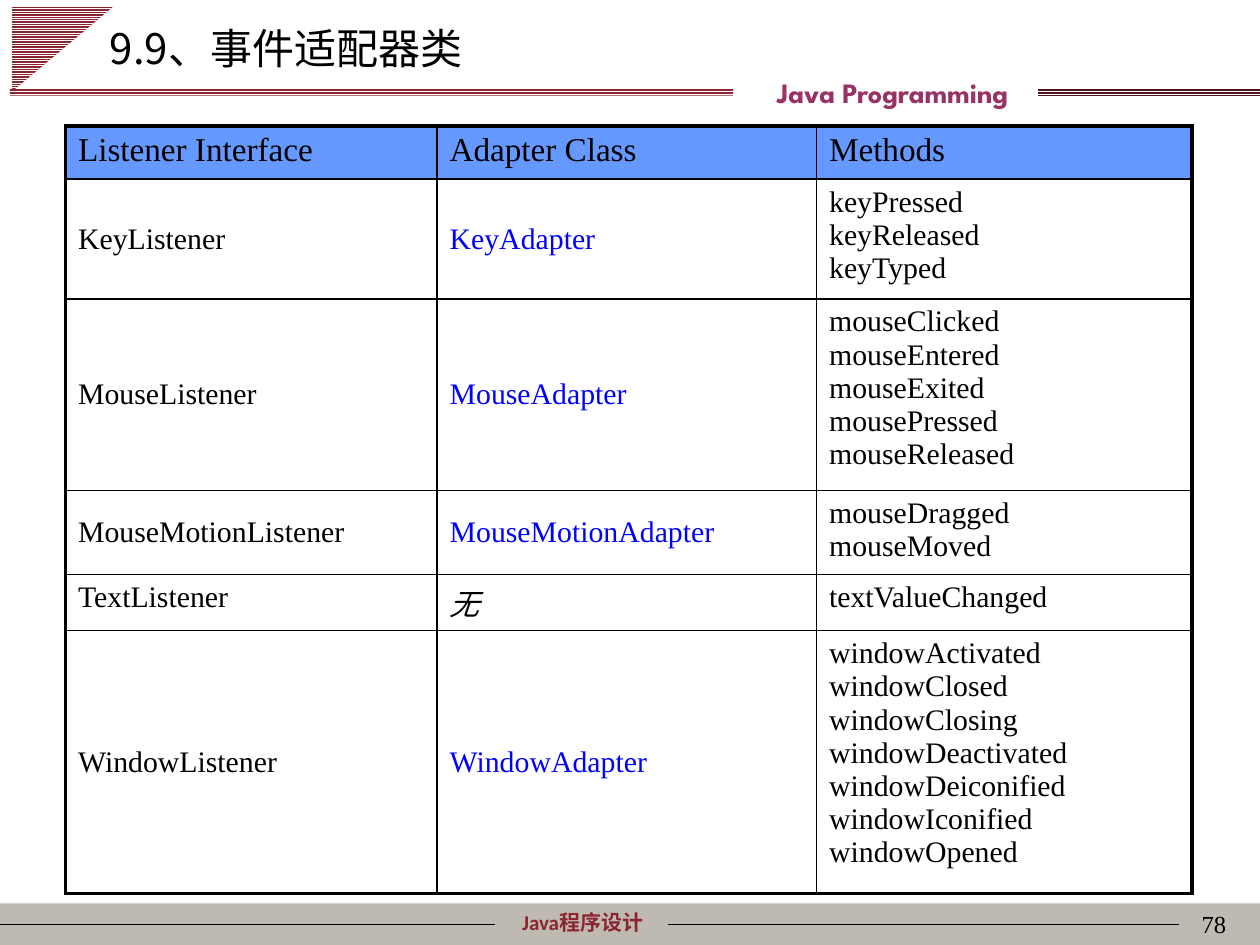
import pptx
import pptx.dml.color
import pptx.enum.dml
import pptx.enum.shapes
import pptx.enum.text
import pptx.oxml
import pptx.oxml.ns
import pptx.util
from lxml import etree

Cm = pptx.util.Cm
Pt = pptx.util.Pt
RGBColor = pptx.dml.color.RGBColor
ALIGN = pptx.enum.text.PP_ALIGN
ANCHOR = pptx.enum.text.MSO_ANCHOR
SHAPE = pptx.enum.shapes.MSO_SHAPE

BLACK = RGBColor(0x00, 0x00, 0x00)
WHITE = RGBColor(0xFF, 0xFF, 0xFF)
BLUE = RGBColor(0x00, 0x00, 0xFF)
HEADER_BLUE = RGBColor(0x66, 0x99, 0xFF)
MAROON = RGBColor(0x8C, 0x25, 0x32)
DARK_MAROON = RGBColor(0x4C, 0x14, 0x1B)
PLUM = RGBColor(0x99, 0x33, 0x66)
STONE = RGBColor(0xBF, 0xBA, 0xB1)

SERIF = "Times New Roman"
CHINESE = "Noto Sans CJK SC"

COLUMN_WIDTHS = [7.49, 7.65, 7.57]
HEADINGS = ["Listener Interface", "Adapter Class", "Methods"]
# Row height, listener, adapter, methods
LISTENERS = [
    (2.41, "KeyListener", "KeyAdapter", ["keyPressed", "keyReleased", "keyTyped"]),
    (3.86, "MouseListener", "MouseAdapter",
     ["mouseClicked", "mouseEntered", "mouseExited", "mousePressed", "mouseReleased"]),
    (1.7, "MouseMotionListener", "MouseMotionAdapter", ["mouseDragged", "mouseMoved"]),
    (1.13, "TextListener", "无", ["textValueChanged"]),
    (5.28, "WindowListener", "WindowAdapter",
     ["windowActivated", "windowClosed", "windowClosing", "windowDeactivated",
      "windowDeiconified", "windowIconified", "windowOpened"]),
]


def write_text(text_frame, text, size, font=SERIF, color=BLACK, bold=False,
               italic=False, align=ALIGN.LEFT):
    """Fill the frame with one paragraph; newlines become line breaks."""
    paragraph = text_frame.paragraphs[0]
    paragraph.text = text
    paragraph.alignment = align
    for run in paragraph.runs:
        run.font.name = font
        run.font.size = Pt(size)
        run.font.bold = bold
        run.font.italic = italic
        run.font.color.rgb = color
        east_asian = etree.Element(pptx.oxml.ns.qn("a:ea"), typeface=CHINESE)
        run.font._element.find(pptx.oxml.ns.qn("a:latin")).addnext(east_asian)


def add_label(slide, left, top, width, height, text, **text_format):
    label = slide.shapes.add_textbox(Cm(left), Cm(top), Cm(width), Cm(height))
    label.text_frame.word_wrap = True
    write_text(label.text_frame, text, **text_format)


def add_plain_shape(slide, kind, left, top, width, height):
    shape = slide.shapes.add_shape(kind, Cm(left), Cm(top), Cm(width), Cm(height))
    shape.shadow.inherit = False
    shape.line.fill.background()
    return shape


def add_striped_shape(slide, kind, left, top, width, height, color):
    shape = add_plain_shape(slide, kind, left, top, width, height)
    shape.fill.patterned()
    shape.fill.pattern = pptx.enum.dml.MSO_PATTERN.LIGHT_HORIZONTAL
    shape.fill.fore_color.rgb = WHITE
    shape.fill.back_color.rgb = color
    return shape


def add_rule(slide, left, right, y):
    connector = slide.shapes.add_connector(
        pptx.enum.shapes.MSO_CONNECTOR.STRAIGHT, Cm(left), Cm(y), Cm(right), Cm(y))
    connector.line.color.rgb = BLACK
    connector.line.width = Pt(0.75)
    etree.SubElement(connector._element.spPr, pptx.oxml.ns.qn("a:effectLst"))


def add_footer(slide, left, top, width, height):
    band = add_plain_shape(slide, SHAPE.RECTANGLE, left, top, width, height)
    band.fill.solid()
    band.fill.fore_color.rgb = STONE
    add_label(slide, left + 9.19, top, 5.11, 0.76, "Java程序设计", size=12,
              font="Calibri", color=MAROON, bold=True, align=ALIGN.CENTER)
    for start, end in [(0, 9.98), (13.46, 23.77)]:
        add_rule(slide, left + start, left + end, top + height / 2)
    add_label(slide, left + 19.69, top, 5.28, 1.27, "78", size=14, align=ALIGN.RIGHT)


def add_header(slide, left, top, width):
    triangle = add_striped_shape(slide, SHAPE.RIGHT_TRIANGLE, left + 0.41, top - 0.05,
                                 1.73, 2.06, MAROON)
    triangle.rotation = 90
    add_striped_shape(slide, SHAPE.RECTANGLE, left + width - 4.47, top + 1.8,
                      4.47, 0.15, DARK_MAROON)
    add_striped_shape(slide, SHAPE.RECTANGLE, left + 0.2, top + 1.8, 14.58, 0.13, MAROON)
    add_label(slide, left + 12.9, top + 1.4, 10.19, 0.94, "Java Programming", size=16,
              font="League Spartan", color=PLUM, bold=True, align=ALIGN.CENTER)


def place_title(slide, left, top, width, height):
    title = slide.shapes.title
    title.left, title.top, title.width, title.height = map(Cm, (left, top, width, height))
    title.text_frame.vertical_anchor = ANCHOR.MIDDLE
    write_text(title.text_frame, "9.9、事件适配器类", size=24, font=CHINESE)


def set_borders(cell, **widths):
    """Draw black borders; widths are in points, keyed L, R, T and B."""
    properties = cell._tc.get_or_add_tcPr()
    for position, side in enumerate("LRTB"):
        border = pptx.oxml.parse_xml(
            f'<a:ln{side} {pptx.oxml.ns.nsdecls("a")} w="{Pt(widths[side])}">'
            f'<a:solidFill><a:srgbClr val="{BLACK}"/></a:solidFill></a:ln{side}>')
        properties.insert(position, border)


def add_listener_table(slide, left, top):
    heights = [1.07] + [row[0] for row in LISTENERS]
    texts = [HEADINGS] + [[row[1], row[2], "\n".join(row[3])] for row in LISTENERS]
    last_row, last_column = len(heights) - 1, len(COLUMN_WIDTHS) - 1
    table = slide.shapes.add_table(
        len(heights), len(COLUMN_WIDTHS), Cm(left), Cm(top),
        Cm(sum(COLUMN_WIDTHS)), Cm(sum(heights))).table
    table.first_row = table.horz_banding = False
    for column, width in zip(table.columns, COLUMN_WIDTHS):
        column.width = Cm(width)
    for r, (height, row_texts) in enumerate(zip(heights, texts)):
        table.rows[r].height = Cm(height)
        is_header, has_adapter = r == 0, row_texts[1] != "无"
        for c, text in enumerate(row_texts):
            cell = table.cell(r, c)
            cell.fill.solid()
            cell.fill.fore_color.rgb = HEADER_BLUE if is_header else WHITE
            is_centred = not is_header and has_adapter and c < last_column
            cell.vertical_anchor = ANCHOR.MIDDLE if is_centred else ANCHOR.TOP
            write_text(cell.text_frame, text, size=19 if is_header else 17,
                       color=BLUE if is_centred and c == 1 else BLACK,
                       italic=c == 1 and not has_adapter)
            set_borders(cell,
                        L=2.25 if c == 0 else 1,
                        R=2.25 if c == last_column else 1,
                        T=2.25 if is_header else 1,
                        B=2.25 if r == last_row else 1)


def main():
    presentation = pptx.Presentation()
    presentation.slide_width, presentation.slide_height = Cm(25.4), Cm(19.05)
    slide = presentation.slides.add_slide(presentation.slide_layouts[5])
    add_footer(slide, 0, 18.21, 25.4, 0.84)
    add_header(slide, 0, 0, 25.4)
    place_title(slide, 1.96, 0.33, 21.59, 1.27)
    add_listener_table(slide, 1.32, 2.54)
    presentation.save("out.pptx")


if __name__ == "__main__":
    main()
